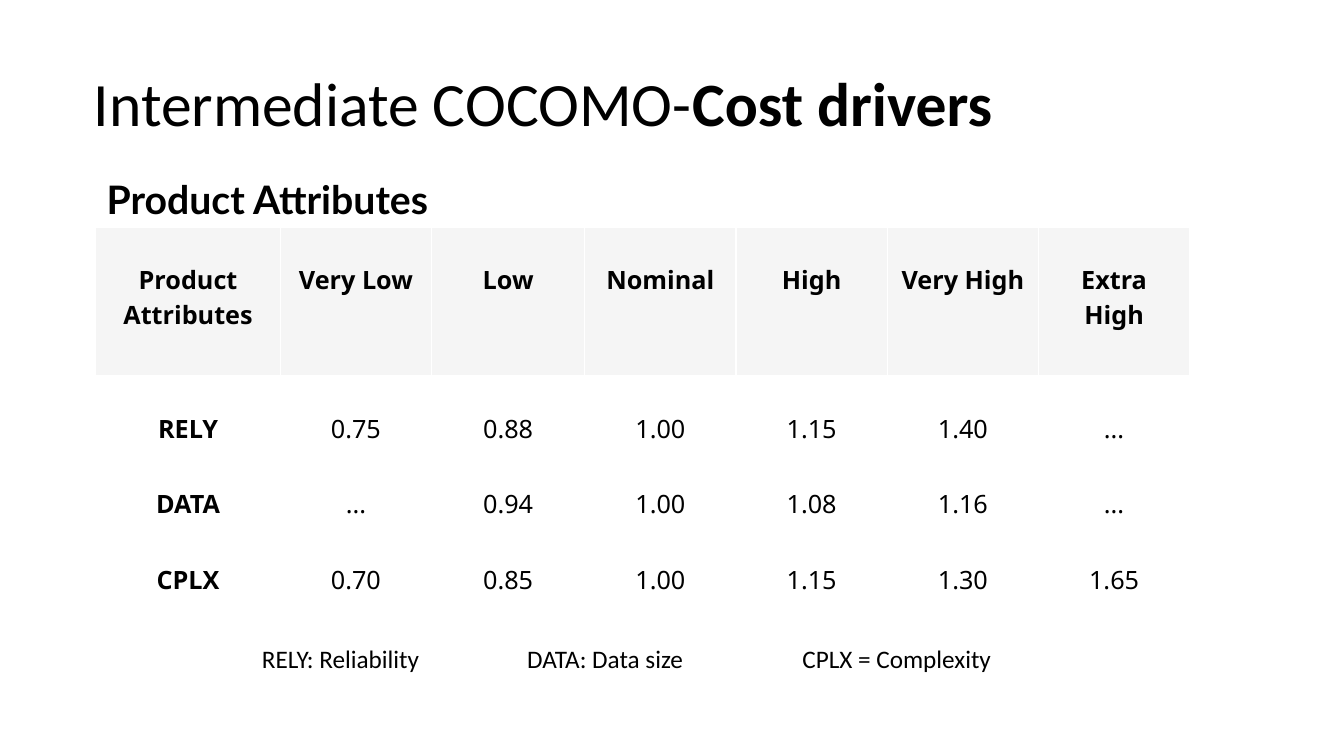
"""Build the slide on the cost drivers of intermediate COCOMO."""
from dataclasses import dataclass

from lxml.etree import SubElement
from pptx import Presentation
from pptx.dml.color import RGBColor
from pptx.enum.text import MSO_ANCHOR, PP_ALIGN
from pptx.oxml.ns import qn
from pptx.slide import Slide
from pptx.util import Inches, Pt

COLORS = {"text": "000000", "head": "F5F5F5", "body": "FFFFFF"}
WIDTHS = [1.83, 1.5, 1.52, 1.5, 1.5, 1.5, 1.5]
HEIGHTS = [1.47, 0.75, 0.75, 0.75]
ROWS = [
    ["Product Attributes", "Very Low", "Low", "Nominal", "High", "Very High", "Extra High"],
    ["RELY", "0.75", "0.88", "1.00", "1.15", "1.40", "..."],
    ["DATA", "...", "0.94", "1.00", "1.08", "1.16", "..."],
    ["CPLX", "0.70", "0.85", "1.00", "1.15", "1.30", "1.65"],
]


@dataclass
class Label:
    """A line of text with its place, font and tab stops."""
    text: str
    left: float
    top: float
    width: float
    height: float
    face: str
    size: int
    bold: bool = False
    tabs: tuple[float, ...] = ()


LABELS = [
    Label("RELY: Reliability\tDATA: Data size\tCPLX = Complexity",
          2.5, 6.33, 7.55, 0.4, "Calibri", 18, tabs=(2.63, 5.36)),
    Label("Product Attributes", 0.96, 1.69, 4.33, 0.57, "Lato", 28, True),
]


def style(para, face: str, size: int, bold: bool | None = None) -> None:
    """Set the font of a paragraph."""
    font = para.font
    font.name, font.size, font.bold = face, Pt(size), bold
    font.color.rgb = RGBColor.from_string(COLORS["text"])


def add_title(slide: Slide) -> None:
    """Fill the title placeholder."""
    title = slide.shapes.title
    title.left, title.top = Inches(0.83), Inches(0.33)
    title.width, title.height = Inches(11.5), Inches(1.45)
    title.text_frame.vertical_anchor = MSO_ANCHOR.MIDDLE
    para = title.text_frame.paragraphs[0]
    para.alignment, para.line_spacing = PP_ALIGN.LEFT, 0.9
    para.add_run().text = "Intermediate COCOMO-"
    strong = para.add_run()
    strong.text, strong.font.bold = "Cost drivers", True
    style(para, "Calibri", 44)


def add_grid(slide: Slide) -> None:
    """Draw the table of ratings."""
    grid = slide.shapes.add_table(
        len(ROWS), len(WIDTHS), Inches(0.95), Inches(2.26),
        Inches(sum(WIDTHS)), Inches(sum(HEIGHTS))).table
    for col, width in zip(grid.columns, WIDTHS):
        col.width = Inches(width)
    for row, height in zip(grid.rows, HEIGHTS):
        row.height = Inches(height)
    for i, row in enumerate(ROWS):
        for j, text in enumerate(row):
            cell = grid.cell(i, j)
            cell.fill.solid()
            shade = COLORS["body" if i else "head"]
            cell.fill.fore_color.rgb = RGBColor.from_string(shade)
            cell.margin_left = cell.margin_right = Inches(0.12)
            cell.margin_top = Inches(0.35)
            cell.text = text
            para = cell.text_frame.paragraphs[0]
            para.alignment = PP_ALIGN.CENTER
            style(para, "Noto Sans", 18, i == 0 or j == 0)


def add_label(slide: Slide, label: Label) -> None:
    """Draw one text box."""
    box = slide.shapes.add_textbox(
        Inches(label.left), Inches(label.top),
        Inches(label.width), Inches(label.height))
    box.text_frame.word_wrap = True
    para = box.text_frame.paragraphs[0]
    para.add_run().text = label.text
    if label.tabs:
        stops = SubElement(para._p.get_or_add_pPr(), qn("a:tabLst"))
        for pos in label.tabs:
            SubElement(stops, qn("a:tab"), pos=str(Inches(pos)), algn="l")
    style(para, label.face, label.size, label.bold)


def main() -> None:
    """Build and save the deck."""
    deck = Presentation()
    deck.slide_width, deck.slide_height = Inches(13.33), Inches(7.5)
    slide = deck.slides.add_slide(deck.slide_layouts[5])
    add_title(slide)
    add_grid(slide)
    for label in LABELS:
        add_label(slide, label)
    deck.save("out.pptx")


if __name__ == "__main__":
    main()
